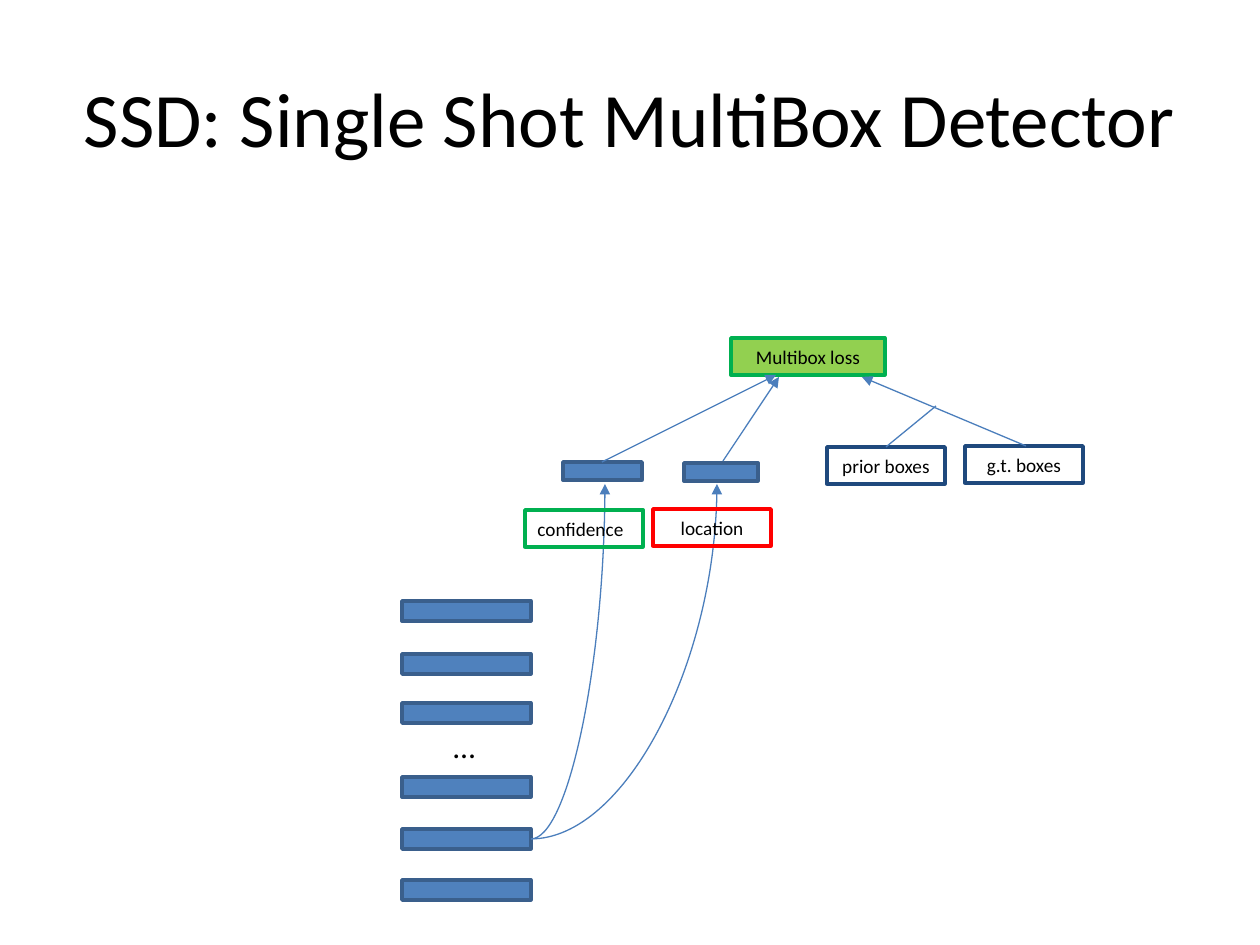
from lxml import etree
from pptx import Presentation
from pptx import util as u
from pptx.dml.color import RGBColor
from pptx.enum import shapes, text
from pptx.oxml.ns import qn

PX = 914400 / 126
FONT = "Calibri"
BLACK = RGBColor(0x00, 0x00, 0x00)
LAYER_FILL = RGBColor(0x4F, 0x81, 0xBD)
LAYER_EDGE = RGBColor(0x3A, 0x5F, 0x8C)
ARROW = RGBColor(0x4B, 0x7E, 0xBC)
GREEN = RGBColor(0x00, 0xB0, 0x50)
LIME = RGBColor(0x92, 0xD0, 0x50)
RED = RGBColor(0xFF, 0x00, 0x00)
NAVY = RGBColor(0x1F, 0x49, 0x7D)
LABEL_W, LABEL_H = 118, 37


def px(*lengths):
    return [u.Emu(round(length * PX)) for length in lengths]


def write(frame, words, size, align):
    frame.text = words
    paragraph = frame.paragraphs[0]
    paragraph.alignment = align
    font = paragraph.runs[0].font
    font.name, font.size, font.color.rgb = FONT, u.Pt(size), BLACK


def add_box(slide, left, top, width, height, edge, fill=None, label=None,
            align=text.PP_ALIGN.CENTER):
    box = slide.shapes.add_shape(shapes.MSO_SHAPE.RECTANGLE, *px(left, top, width, height))
    box.shadow.inherit = False
    box.line.color.rgb = edge
    box.line.width = u.Pt(2)
    if fill is None:
        box.fill.background()
    else:
        box.fill.solid()
        box.fill.fore_color.rgb = fill
    if label:
        write(box.text_frame, label, 11, align)


def add_layer(slide, left, top, width, height):
    add_box(slide, left, top, width, height, LAYER_EDGE, LAYER_FILL)


def add_link(slide, start, end, head=True, curved=False):
    kind = shapes.MSO_CONNECTOR.CURVE if curved else shapes.MSO_CONNECTOR.STRAIGHT
    link = slide.shapes.add_connector(kind, *px(*start, *end))
    link.line.color.rgb = ARROW
    link.line.width = u.Pt(0.75)
    properties = link._element.spPr
    if curved:  # a single bend: leaves sideways, arrives upwards
        properties.find(qn("a:prstGeom")).set("prst", "curvedConnector2")
    if head:
        etree.SubElement(properties.find(qn("a:ln")), qn("a:tailEnd"), type="triangle")
    etree.SubElement(properties, qn("a:effectLst"))


def add_title(slide, left, top, width, height):
    title = slide.shapes.title
    title.left, title.top, title.width, title.height = px(left, top, width, height)
    write(title.text_frame, "SSD: Single Shot MultiBox Detector", 44, text.PP_ALIGN.CENTER)
    title.text_frame.vertical_anchor = text.MSO_ANCHOR.MIDDLE


def add_backbone(slide, left, top, width):
    """Stack of feature layers, with an ellipsis between its two halves."""
    for offset in (0, 53, 102, 176, 228, 279):
        add_layer(slide, left, top + offset, width, 20)
    ellipsis = slide.shapes.add_textbox(*px(left + 39, top + 120, 59, 50))
    ellipsis.text_frame.word_wrap = True
    write(ellipsis.text_frame, "…", 18, text.PP_ALIGN.LEFT)


def add_heads(slide, left, top, source):
    """Confidence and location outputs, both fed from the source point."""
    for x in (192, 80):
        add_link(slide, source, (left + x, top + 22), curved=True)
    add_box(slide, left, top + 48, LABEL_W, LABEL_H, GREEN, label="confidence",
            align=text.PP_ALIGN.LEFT)
    add_box(slide, left + 128, top + 47, LABEL_W, LABEL_H, RED, label="location")
    add_layer(slide, left + 38, top, 79, 18)
    add_layer(slide, left + 159, top + 1, 74, 18)


def add_loss(slide, left, top):
    """Loss box, the reference boxes and all links into the loss."""
    add_box(slide, left, top, 154, LABEL_H, GREEN, LIME, "Multibox loss")
    add_box(slide, left + 96, top + 109, LABEL_W, LABEL_H, NAVY, label="prior boxes")
    add_box(slide, left + 234, top + 108, LABEL_W, LABEL_H, NAVY, label="g.t. boxes")
    links = [
        ((295, 108), (131, 39), True),
        ((155, 109), (205, 68), False),
        ((-8, 123), (48, 39), True),
        ((-129, 124), (45, 37), True),
    ]
    for (x1, y1), (x2, y2), head in links:
        add_link(slide, (left + x1, top + y1), (left + x2, top + y2), head)


def main():
    deck = Presentation()
    deck.slide_width, deck.slide_height = px(1260, 945)
    slide = deck.slides.add_slide(deck.slide_layouts[5])
    add_title(slide, 63, 38, 1134, 158)
    add_backbone(slide, 402, 601, 129)
    add_heads(slide, 525, 462, source=(531, 839))
    add_loss(slide, 731, 338)
    deck.save("out.pptx")


if __name__ == "__main__":
    main()
